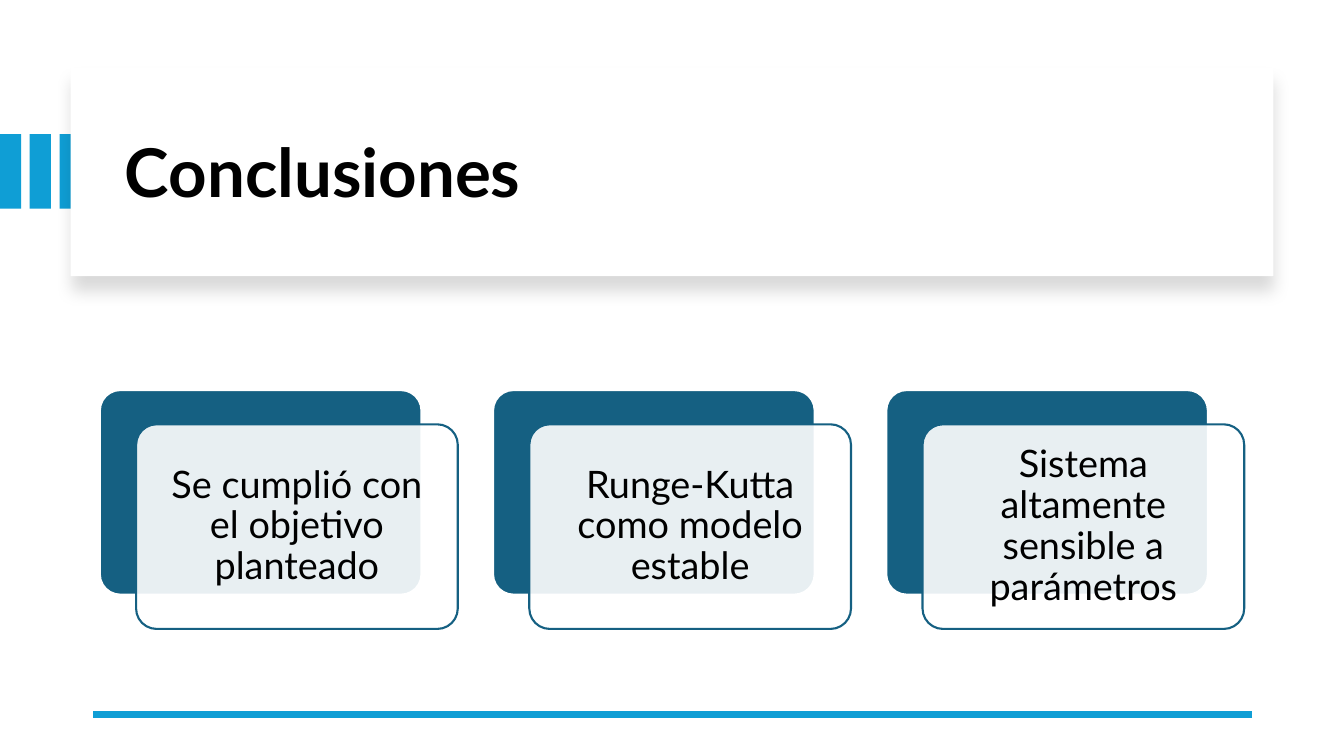
import pptx
import pptx.util
import pptx.dml.color
import pptx.enum.shapes
import pptx.enum.text
import pptx.oxml
import pptx.oxml.ns
import lxml.etree

Inches = pptx.util.Inches
Pt = pptx.util.Pt
RGB = pptx.dml.color.RGBColor.from_string
SHAPE = pptx.enum.shapes.MSO_SHAPE
ALIGN = pptx.enum.text.PP_ALIGN
qn = pptx.oxml.ns.qn

COLORS = {"accent": "0F9ED5", "card": "156082", "white": "FFFFFF", "black": "000000"}

prs = pptx.Presentation()
prs.slide_width = Inches(13.33)
prs.slide_height = Inches(7.5)
s = prs.slides.add_slide(prs.slide_layouts[6])


def add_box(kind, left, top, width, height, fill, line=None):
    sp = s.shapes.add_shape(kind, Inches(left), Inches(top), Inches(width), Inches(height))
    sp.shadow.inherit = False
    sp.fill.solid()
    sp.fill.fore_color.rgb = RGB(COLORS[fill])
    if line:
        sp.line.color.rgb = RGB(COLORS[line])
        sp.line.width = Pt(1.5)
        sp.adjustments[0] = 0.1
    else:
        sp.line.fill.background()
    return sp


def add_text(text, left, top, width, height, size, bold=False, align=ALIGN.LEFT, inset=(0.1, 0.05)):
    tf = s.shapes.add_textbox(Inches(left), Inches(top), Inches(width), Inches(height)).text_frame
    tf.word_wrap = True
    tf.vertical_anchor = pptx.enum.text.MSO_ANCHOR.MIDDLE
    tf.margin_left = tf.margin_right = Inches(inset[0])
    tf.margin_top = tf.margin_bottom = Inches(inset[1])
    p = tf.paragraphs[0]
    p.alignment = align
    p.line_spacing = 0.9
    r = p.add_run()
    r.text = text
    r.font.name = "Lato"
    r.font.size = Pt(size)
    r.font.bold = bold
    r.font.color.rgb = RGB(COLORS["black"])


for i in range(3):
    add_box(SHAPE.RECTANGLE, i * 0.295, 1.33, 0.21, 0.74, "accent")

banner = add_box(SHAPE.RECTANGLE, 0.7, 0.67, 11.93, 2.07, "white")
effects = banner._element.spPr.find(qn("a:effectLst"))
shadow = lxml.etree.SubElement(
    effects, qn("a:outerShdw"), blurRad=str(Pt(11)), dist=str(Pt(10)),
    dir="5400000", algn="t", rotWithShape="0")
shadow_color = lxml.etree.SubElement(shadow, qn("a:srgbClr"), val=COLORS["black"])
lxml.etree.SubElement(shadow_color, qn("a:alpha"), val="15000")

add_text("Conclusiones", 1.14, 0.89, 11.13, 1.7, 48, bold=True)

rule = s.shapes.add_connector(
    pptx.enum.shapes.MSO_CONNECTOR.STRAIGHT,
    Inches(12.42), Inches(7.09), Inches(0.92), Inches(7.09))
rule.line.color.rgb = RGB(COLORS["accent"])
rule.line.width = Pt(4.5)
lxml.etree.SubElement(rule._element.spPr, qn("a:effectLst"))

conclusions = [
    "Se cumplió con el objetivo planteado",
    "Runge-Kutta como modelo estable",
    "Sistema altamente sensible a parámetros",
]
for i, conclusion in enumerate(conclusions):
    left = 0.99 + i * 3.9
    add_box(SHAPE.ROUNDED_RECTANGLE, left, 3.87, 3.19, 2.03, "card", "white")
    front = add_box(SHAPE.ROUNDED_RECTANGLE, left + 0.36, 4.21, 3.19, 2.03, "white", "card")
    front_color = front._element.spPr.find(qn("a:solidFill")).find(qn("a:srgbClr"))
    lxml.etree.SubElement(front_color, qn("a:alpha"), val="90000")
    add_text(conclusion, left + 0.42, 4.27, 3.07, 1.91, 27, align=ALIGN.CENTER, inset=(0.11, 0.11))

prs.save("out.pptx")
